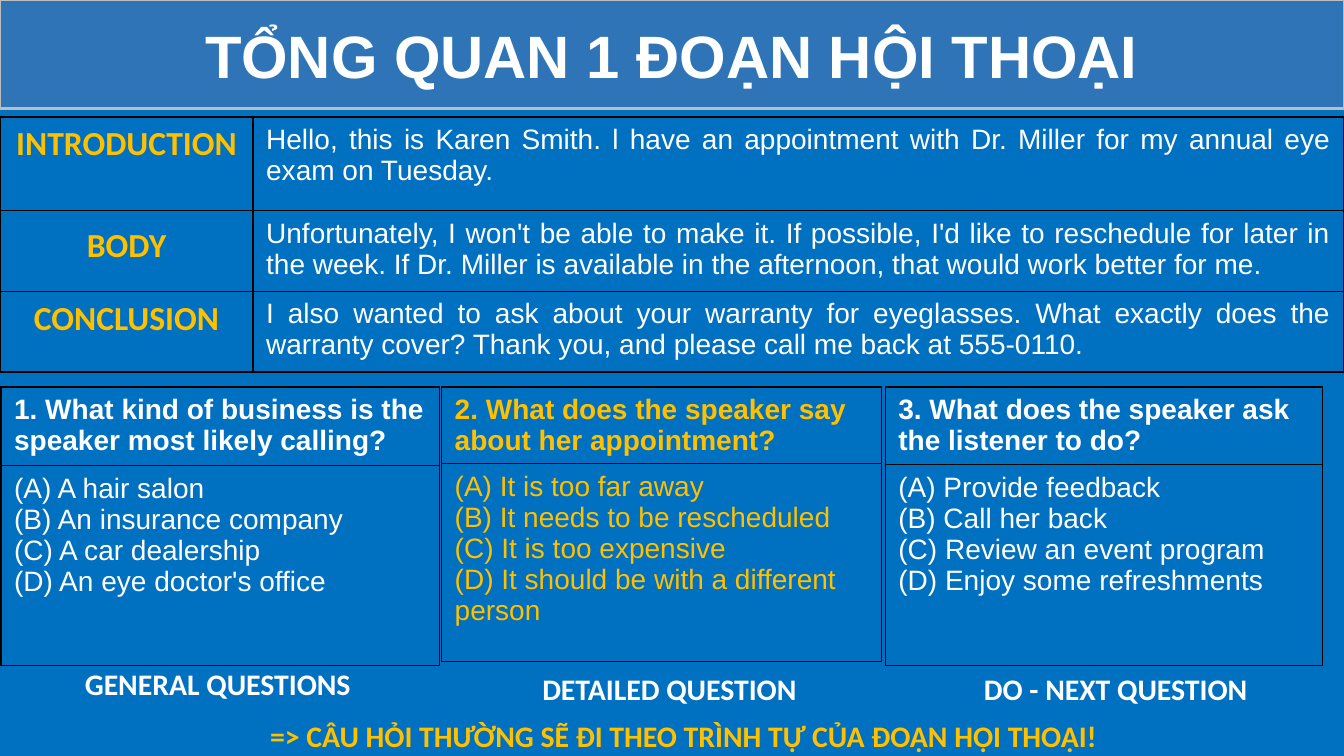
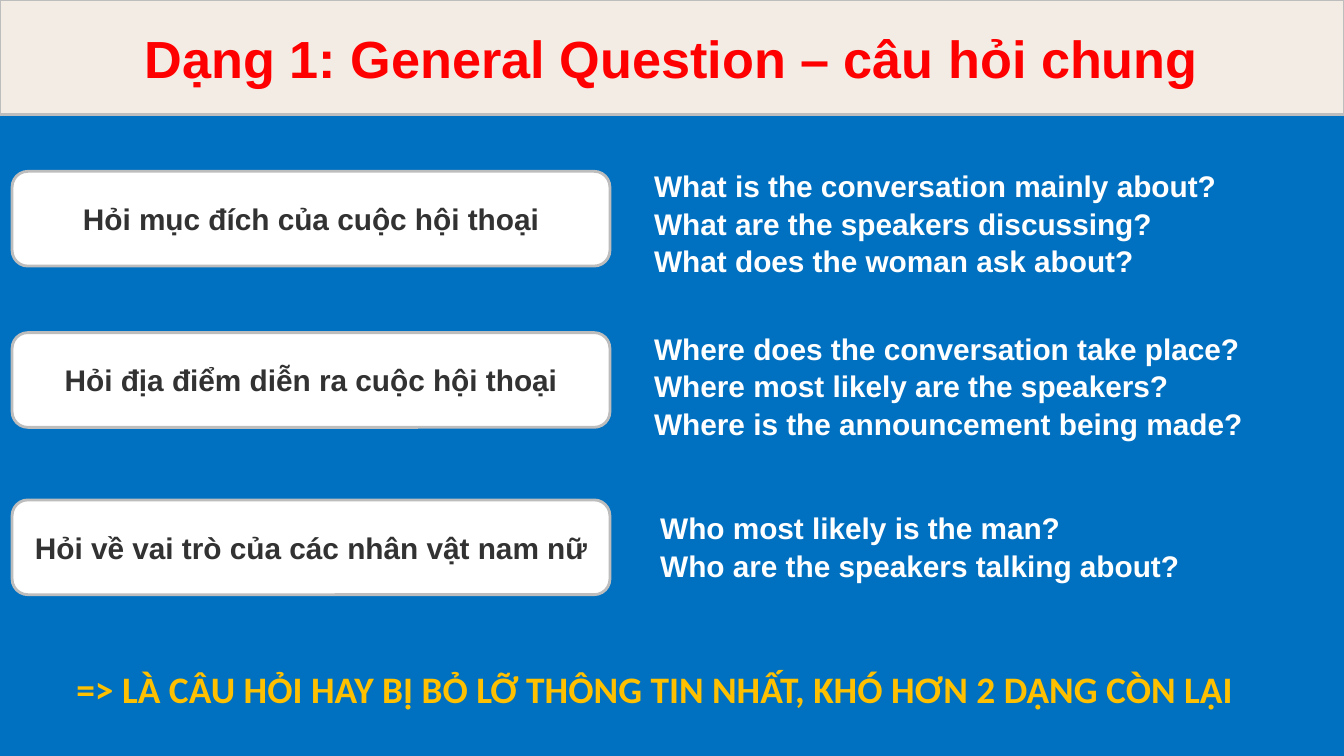
from lxml.etree import SubElement
from pptx import Presentation
from pptx.dml.color import RGBColor
from pptx.enum.shapes import MSO_SHAPE
from pptx.enum.text import MSO_ANCHOR, PP_ALIGN
from pptx.oxml.ns import qn
from pptx.util import Inches, Pt

HUES = {
    "back": "0070C0", "band": "2E74B6", "cream": "F3ECE4", "edge": "BDBDBD",
    "white": "FFFFFF", "gold": "FFC000", "red": "FF0000", "ink": "323232",
    "black": "000000",
}
WIDE, HIGH = 13.33, 7.5
LEFT, MID, JUST = PP_ALIGN.LEFT, PP_ALIGN.CENTER, PP_ALIGN.JUSTIFY

PARTS = [
    ("INTRODUCTION", 0.93, 1, "Hello, this is Karen Smith. l have an appointment with Dr. Miller "
     "for my annual eye exam on Tuesday."),
    ("BODY", 0.8, 1.2, "Unfortunately, I won't be able to make it. If possible, I'd like to "
     "reschedule for later in the week. If Dr. Miller is available in the afternoon, "
     "that would work better for me."),
    ("CONCLUSION", 0.8, 1, "I also wanted to ask about your warranty for eyeglasses. What exactly "
     "does the warranty cover? Thank you, and please call me back at 555-0110."),
]
TASKS = [
    (0.01, 4.35, (0.78, 1.98), "white", "1. What kind of business is the speaker most likely calling?",
     ["(A) A hair salon", "(B) An insurance company", "(C) A car dealership",
      "(D) An eye doctor's office"]),
    (4.38, 4.36, (0.75, 1.96), "gold", "2. What does the speaker say about her appointment?",
     ["(A) It is too far away", "(B) It needs to be rescheduled", "(C) It is too expensive",
      "(D) It should be with a different person"]),
    (8.78, 4.34, (0.77, 1.99), "white", "3. What does the speaker ask the listener to do?",
     ["(A) Provide feedback", "(B) Call her back", "(C) Review an event program",
      "(D) Enjoy some refreshments"]),
]
KINDS = [
    ("GENERAL QUESTIONS", 0.09, 6.47, 4.14),
    ("DETAILED QUESTION", 4.26, 6.52, 4.76),
    ("DO - NEXT QUESTION", 9.09, 6.52, 3.95),
]
ORDER = "=> CÂU HỎI THƯỜNG SẼ ĐI THEO TRÌNH TỰ CỦA ĐOẠN HỘI THOẠI!"
HARD = "=> LÀ CÂU HỎI HAY BỊ BỎ LỠ THÔNG TIN NHẤT, KHÓ HƠN 2 DẠNG CÒN LẠI"
AIMS = [
    (1.7, "Hỏi mục đích của cuộc hội thoại", 6.39, 1.6,
     ["What is the conversation mainly about?", "What are the speakers discussing?",
      "What does the woman ask about?"]),
    (3.3, "Hỏi địa điểm diễn ra cuộc hội thoại", 6.39, 3.21,
     ["Where does the conversation take place?", "Where most likely are the speakers?",
      "Where is the announcement being made?"]),
    (4.96, "Hỏi về vai trò của các nhân vật nam nữ", 6.45, 4.99,
     ["Who most likely is the man?", "Who are the speakers talking about?"]),
]


def tint(name):
    return RGBColor.from_string(HUES[name])


def write(frame, lines, size, hue, face="Arial", bold=True, align=LEFT, lead=None):
    frame.word_wrap = True
    for num, line in enumerate(lines):
        para = frame.add_paragraph() if num else frame.paragraphs[0]
        para.text = line
        para.alignment = align
        if lead:
            para.line_spacing = lead
        font = para.font
        font.name, font.size, font.bold = face, Pt(size), bold
        font.color.rgb = tint(hue)


def panel(slide, kind, box, fill, text, size, hue):
    shape = slide.shapes.add_shape(kind, *map(Inches, box))
    shape.shadow.inherit = False
    shape.fill.solid()
    shape.fill.fore_color.rgb = tint(fill)
    shape.line.color.rgb = tint("edge")
    shape.line.width = Pt(2)
    shape.text_frame.vertical_anchor = MSO_ANCHOR.MIDDLE
    write(shape.text_frame, [text], size, hue, align=MID)


def label(slide, box, lines, size, hue, pad=None, **style):
    frame = slide.shapes.add_textbox(*map(Inches, box)).text_frame
    if pad:
        frame.margin_left = frame.margin_right = Inches(pad)
        frame.margin_top = frame.margin_bottom = Inches(pad)
    write(frame, lines, size, hue, **style)


def note(slide, box, text, size, hue):
    label(slide, box, [text], size, hue, pad=0.13, face="Calibri", align=MID)


def frame_cell(cell):
    cell.margin_left = cell.margin_right = Inches(0.13)
    cell.margin_top = cell.margin_bottom = Inches(0.07)
    cell.fill.background()
    props = cell._tc.get_or_add_tcPr()
    for num, side in enumerate(("lnL", "lnR", "lnT", "lnB")):
        line = SubElement(props, qn("a:" + side), w=str(Pt(1)))
        fill = SubElement(line, qn("a:solidFill"))
        SubElement(fill, qn("a:srgbClr"), val=HUES["black"])
        props.insert(num, line)


def grid(slide, left, top, cols, rows):
    table = slide.shapes.add_table(
        len(rows), len(cols), Inches(left), Inches(top),
        Inches(sum(cols)), Inches(sum(rows))).table
    table.first_row = table.horz_banding = False
    for col, width in zip(table.columns, cols):
        col.width = Inches(width)
    for row, height in zip(table.rows, rows):
        row.height = Inches(height)
    for cell in table.iter_cells():
        frame_cell(cell)
    return table


def start(deck, title, high, fill, size, hue):
    slide = deck.slides.add_slide(deck.slide_layouts[6])
    back = slide.background.fill
    back.solid()
    back.fore_color.rgb = tint("back")
    panel(slide, MSO_SHAPE.RECTANGLE, (0, 0, WIDE, high), fill, title, size, hue)
    return slide


def outline(deck):
    slide = start(deck, "TỔNG QUAN 1 ĐOẠN HỘI THOẠI", 1.08, "band", 42.7, "white")
    table = grid(slide, 0, 1.16, (2.51, 10.82), [part[1] for part in PARTS])
    for num, (name, _, lead, text) in enumerate(PARTS):
        write(table.cell(num, 0).text_frame, [name], 24, "gold",
              face="Calibri", align=MID, lead=lead)
        write(table.cell(num, 1).text_frame, [text], 20, "white", bold=False, align=JUST)
    for left, width, rows, hue, ask, picks in TASKS:
        table = grid(slide, left, 3.84, [width], rows)
        write(table.cell(0, 0).text_frame, [ask], 20, hue)
        write(table.cell(1, 0).text_frame, picks, 20, hue, bold=False)
    for text, left, top, width in KINDS:
        note(slide, (left, top, width, 0.6), text, 21.3, "white")
    note(slide, (0.16, 6.99, 13.24, 0.5), ORDER, 21.3, "gold")


def general(deck):
    slide = start(deck, "Dạng 1: General Question – câu hỏi chung", 1.14, "cream", 37.3, "red")
    for top, aim, left, head, asks in AIMS:
        panel(slide, MSO_SHAPE.ROUNDED_RECTANGLE, (0.12, top, 5.93, 0.94),
              "white", aim, 21.3, "ink")
        label(slide, (left, head, 6.5, 0.1 + 0.36 * len(asks)), asks, 21.3, "white", lead=1.05)
    note(slide, (-0.12, 6.48, 13.24, 0.91), HARD, 26.7, "gold")


def main():
    deck = Presentation()
    deck.slide_width, deck.slide_height = Inches(WIDE), Inches(HIGH)
    outline(deck)
    general(deck)
    deck.save("out.pptx")


if __name__ == "__main__":
    main()
